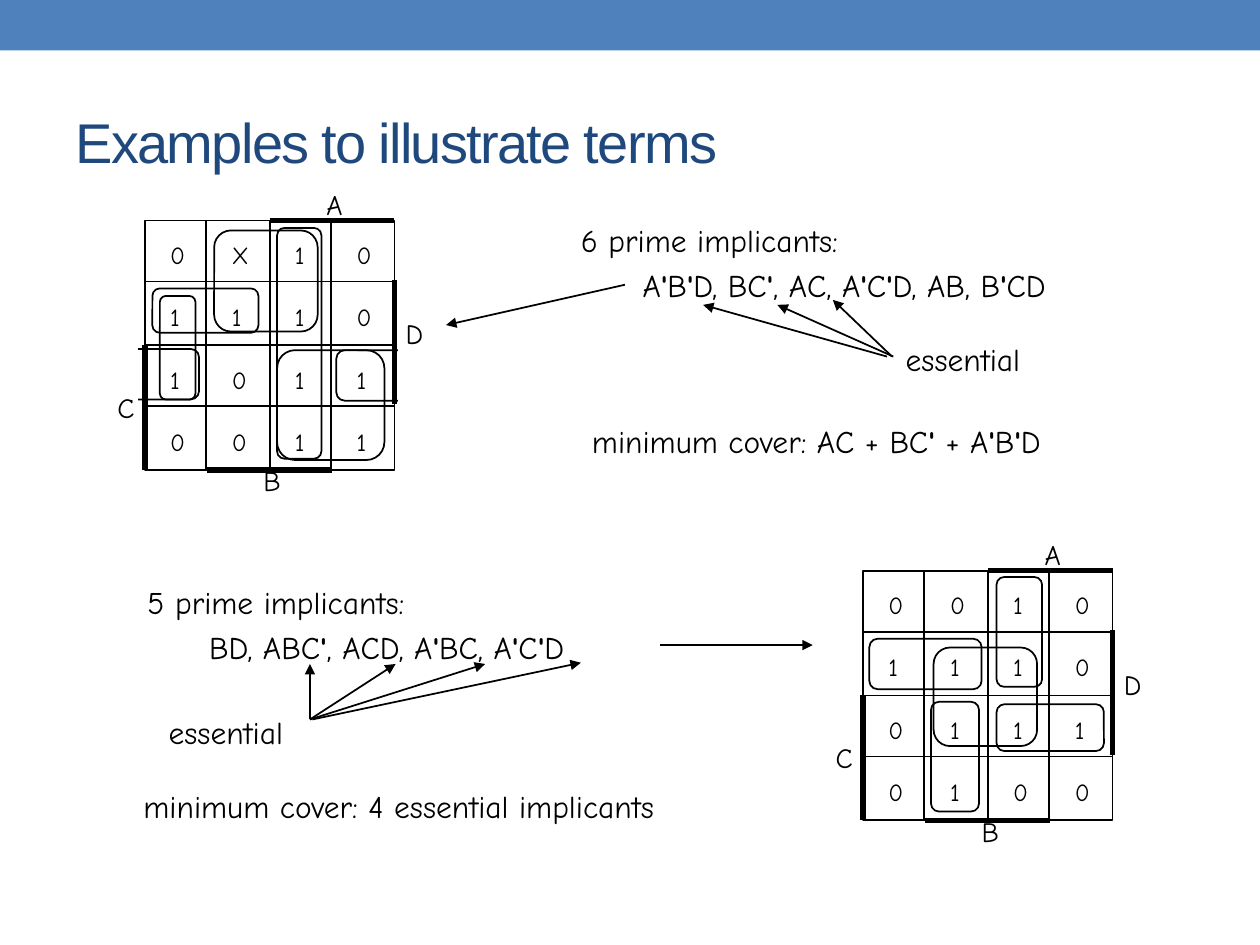
from pptx import Presentation
from pptx.dml.color import RGBColor
from pptx.enum.shapes import MSO_CONNECTOR, MSO_SHAPE
from pptx.enum.text import MSO_ANCHOR, PP_ALIGN
from pptx.oxml.ns import qn
from pptx.util import Inches, Pt
from lxml.etree import SubElement

BLACK = RGBColor(0, 0, 0)
WHITE = RGBColor(255, 255, 255)
BLUE = RGBColor(0x4F, 0x81, 0xBD)
NAVY = RGBColor(0x1F, 0x49, 0x7D)
HAND = "Comic Neue"
CELL = 0.495
TAB = 0.49
TITLE = "Examples to illustrate terms"

MAPS = [
    {
        "corner": (1.15, 1.75),
        "rows": ["0X10", "1110", "1011", "0011"],
        "wrapped": [
            ((-0.36, 2.06, 1.23, 0.81), (-0.57, 2, 0.46, 0.99)),
            ((3.07, 2.08, 1.23, 0.81), (4.06, 2.02, 0.46, 0.99)),
        ],
        "loops": [
            (2.12, 2.08, 1.72, 1.76),
            (2.12, 0.12, 0.71, 3.7),
            (0.12, 1.09, 1.7, 0.71),
            (1.11, 0.16, 1.66, 1.62),
            (0.24, 1.21, 0.57, 1.66),
        ],
    },
    {
        "corner": (6.85, 4.53),
        "rows": ["0010", "1110", "0111", "0100"],
        "wrapped": [],
        "loops": [
            (2.14, 0.1, 0.73, 1.76),
            (0.1, 1.09, 1.8, 0.81),
            (1.09, 2.1, 0.77, 1.76),
            (2.14, 2.14, 1.72, 0.75),
            (1.13, 1.23, 1.66, 1.58),
        ],
    },
]
VARIABLES = [
    ("A", (2.87, -0.5), (2, 0), (4, 0)),
    ("D", (4.14, 1.58), (4, 0.95), (4, 2.95)),
    ("B", (1.86, 3.94), (1, 4), (3, 4)),
    ("C", (-0.48, 2.76), (0, 2), (0, 4)),
]
IMPLICANTS = [
    (4.59, 1.67, ["6 prime implicants:", "\tA'B'D, BC', AC, A'C'D, AB, B'CD"]),
    (1.15, 4.54, ["5 prime implicants:", "\tBD, ABC', ACD, A'BC, A'C'D"]),
]
NOTES = [
    (4.6, 3.3, 3.96, "minimum cover: AC + BC' + A'B'D"),
    (7.09, 2.65, 1.23, "essential"),
    (1.04, 6.2, 4.54, "minimum cover: 4 essential implicants"),
    (1.24, 5.61, 1.23, "essential"),
]
ARROWS = [
    ((4.96, 2.26), (3.54, 2.58)),
    ((5.24, 5.12), (6.45, 5.12)),
    ((7.08, 2.83), (6.61, 2.38)),
    ((7.09, 2.83), (6.17, 2.42)),
    ((7.04, 2.83), (5.58, 2.42)),
    ((2.46, 5.71), (2.46, 5.27)),
    ((2.46, 5.71), (3.14, 5.27)),
    ((2.46, 5.71), (3.85, 5.27)),
    ((2.48, 5.71), (4.61, 5.26)),
]


def add_box(page, kind, area, fill=None, line=None):
    shape = page.shapes.add_shape(kind, *map(Inches, area))
    shape.shadow.inherit = False
    if fill is None:
        shape.fill.background()
    else:
        shape.fill.solid()
        shape.fill.fore_color.rgb = fill
    if line is None:
        shape.line.fill.background()
    else:
        shape.line.color.rgb = line
        shape.line.width = Pt(1)
    return shape


def add_line(page, start, end, width=1, arrow=False):
    line = page.shapes.add_connector(MSO_CONNECTOR.STRAIGHT, *map(Inches, (*start, *end)))
    line.line.color.rgb = BLACK
    line.line.width = Pt(width)
    properties = line._element.spPr
    if arrow:
        SubElement(properties.find(qn("a:ln")), qn("a:tailEnd"), type="triangle")
    SubElement(properties, qn("a:effectLst"))


def add_text(page, area, lines, size, margins=(0.02, 0.03), spacing=None, gap=0):
    box = page.shapes.add_textbox(*map(Inches, area))
    frame = box.text_frame
    frame.word_wrap = True
    frame.margin_left = frame.margin_right = Inches(margins[0])
    frame.margin_top = frame.margin_bottom = Inches(margins[1])
    for index, text in enumerate(lines):
        para = frame.add_paragraph() if index else frame.paragraphs[0]
        if "\t" in text:
            tabs = SubElement(para._p.get_or_add_pPr(), qn("a:tabLst"))
            SubElement(tabs, qn("a:tab"), pos=str(Inches(TAB)), algn="l")
        if spacing:
            para.line_spacing = Pt(spacing)
        if index and gap:
            para.space_before = Pt(gap)
        for piece in text.replace("'", "|'|").split("|"):
            if piece:
                span = para.add_run()
                span.text = piece
                span.font.name = HAND
                span.font.size = Pt(size)
                span.font.color.rgb = BLACK
                span.font.bold = piece == "'"


def add_map(page, corner, rows, wrapped, loops):
    def place(column, row):
        return corner[0] + column * CELL, corner[1] + row * CELL

    def area(column, row, width, height):
        return (*place(column, row), width * CELL, height * CELL)

    def add_loop(loop):
        add_box(page, MSO_SHAPE.ROUNDED_RECTANGLE, area(*loop), line=BLACK)

    for loop, cover in wrapped:
        add_loop(loop)
        add_box(page, MSO_SHAPE.RECTANGLE, area(*cover), fill=WHITE)
    for loop in loops:
        add_loop(loop)
    for row in (0, 2):
        for column in (0, 2):
            left, top = place(column, row)
            lines = ["\t".join(cells[column:column + 2]) for cells in rows[row:row + 2]]
            add_text(page, (left + 0.18, top + 0.11, 0.89, 0.88), lines, 14,
                     spacing=17.8, gap=17.8)
            add_box(page, MSO_SHAPE.RECTANGLE, area(column, row, 2, 2), line=BLACK)
            add_line(page, place(column + 0.98, row), place(column + 0.98, row + 2))
            add_line(page, place(column + 2, row + 0.98), place(column, row + 0.98))
    for name, spot, start, end in VARIABLES:
        add_line(page, place(*start), place(*end), width=3)
        add_text(page, (*place(*spot), 0.4, 0.36), [name], 16, spacing=15.8)


def main():
    deck = Presentation()
    deck.slide_width, deck.slide_height = Inches(10), Inches(7.5)
    page = deck.slides.add_slide(deck.slide_layouts[5])
    add_box(page, MSO_SHAPE.RECTANGLE, (0, 0, 10, 0.4), fill=BLUE)

    title = page.shapes.title
    title.left, title.top, title.width, title.height = map(Inches, (0.5, 0.58, 9, 1.08))
    title.text_frame.text = TITLE
    title.text_frame.vertical_anchor = MSO_ANCHOR.MIDDLE
    para = title.text_frame.paragraphs[0]
    para.alignment = PP_ALIGN.LEFT
    span = para.runs[0]
    span.font.name = "Arial"
    span.font.size = Pt(32)
    span.font.color.rgb = NAVY
    span._r.get_or_add_rPr().set("spc", "-100")

    for grid in MAPS:
        add_map(page, **grid)
    for left, top, lines in IMPLICANTS:
        add_text(page, (left, top, 4.82, 0.75), lines, 18, spacing=25.6)
    for left, top, width, text in NOTES:
        add_text(page, (left, top, width, 0.4), [text], 18, margins=(0.1, 0.05))
    for start, end in ARROWS:
        add_line(page, start, end, arrow=True)
    deck.save("out.pptx")


if __name__ == "__main__":
    main()
